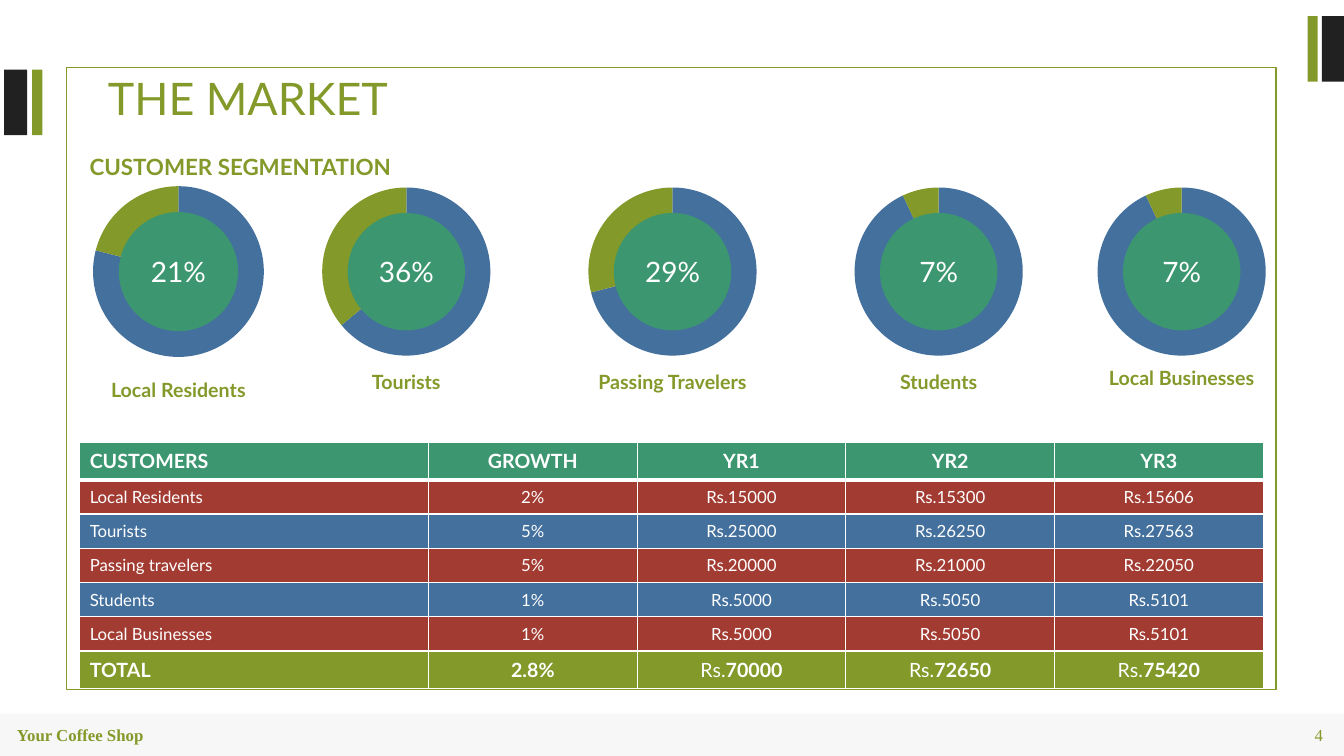
"""Builds a market slide with five customer rings and a table of growth and sales."""
from lxml.etree import SubElement
from pptx import Presentation
from pptx.chart.data import CategoryChartData
from pptx.dml.color import RGBColor
from pptx.enum.chart import XL_CHART_TYPE
from pptx.enum.shapes import MSO_SHAPE
from pptx.enum.text import MSO_ANCHOR, MSO_AUTO_SIZE, PP_ALIGN
from pptx.oxml import parse_xml
from pptx.oxml.ns import nsdecls, qn
from pptx.util import Inches, Pt

OLIVE = RGBColor(0x83, 0x99, 0x2A)
BLUE = RGBColor(0x44, 0x70, 0x9D)
GREEN = RGBColor(0x3C, 0x97, 0x70)
RED = RGBColor(0xA2, 0x3C, 0x33)
BLACK = RGBColor(0x21, 0x21, 0x21)
GREY = RGBColor(0xE6, 0xE6, 0xE6)
WHITE = RGBColor(0xFF, 0xFF, 0xFF)
LATO, SERIF = "Lato", "Times New Roman"

WIDTH, HEIGHT = 13.33, 7.5
TITLE = "THE MARKET"
SUBTITLE = "CUSTOMER SEGMENTATION"
FOOTER, PAGE = "Your Coffee Shop", "4"
BARS = [
    (0.04, 0.69, 0.23, BLACK),
    (0.32, 0.69, 0.1, OLIVE),
    (12.97, 0.16, 0.1, OLIVE),
    (13.11, 0.16, 0.22, BLACK),
]
# name, percent, centre, chart width, label top, label width
SEGMENTS = [
    ("Local Residents", 21, 1.77, 1.97, 3.7, 1.56),
    ("Tourists", 36, 4.03, 1.94, 3.62, 0.91),
    ("Passing Travelers", 29, 6.67, 1.94, 3.62, 1.72),
    ("Students", 7, 9.31, 1.94, 3.62, 0.98),
    ("Local Businesses", 7, 11.72, 1.94, 3.58, 1.66),
]
CHART_TOP, CHART_HEIGHT = 1.51, 2.37
RING_SHARE, HOLE_SHARE = 0.86, 0.6
ROWS = [
    ("CUSTOMERS", "GROWTH", "YR1", "YR2", "YR3"),
    ("Local Residents", "2%", "Rs.15000", "Rs.15300", "Rs.15606"),
    ("Tourists", "5%", "Rs.25000", "Rs.26250", "Rs.27563"),
    ("Passing travelers", "5%", "Rs.20000", "Rs.21000", "Rs.22050"),
    ("Students", "1%", "Rs.5000", "Rs.5050", "Rs.5101"),
    ("Local Businesses", "1%", "Rs.5000", "Rs.5050", "Rs.5101"),
    ("TOTAL", "2.8%", "Rs.70000", "Rs.72650", "Rs.75420"),
]
COLUMN_WIDTHS = [3.46] + [2.07] * 4
ROW_HEIGHTS = [0.37] + [0.34] * 5 + [0.37]
ROW_FILLS = [GREEN, RED, BLUE, RED, BLUE, RED, OLIVE]


def inches(*lengths):
    return [Inches(length) for length in lengths]


def style(p, size, color, name=LATO, bold=False, align=PP_ALIGN.LEFT):
    p.alignment = align
    p.font.size, p.font.name, p.font.bold = Pt(size), name, bold
    p.font.color.rgb = color


def add_box(slide, kind, box, fill=None):
    sp = slide.shapes.add_shape(kind, *inches(*box))
    sp.shadow.inherit = False
    sp.line.fill.background()
    if fill is None:
        sp.fill.background()
    else:
        sp.fill.solid()
        sp.fill.fore_color.rgb = fill
    return sp


def add_text(slide, text, box, size, wrap=True, anchor=MSO_ANCHOR.TOP, **font):
    tf = slide.shapes.add_textbox(*inches(*box)).text_frame
    tf.word_wrap, tf.vertical_anchor = wrap, anchor
    tf.text = text
    style(tf.paragraphs[0], size, OLIVE, **font)


def add_frame(slide):
    frame = add_box(slide, MSO_SHAPE.RECTANGLE, (0.66, 0.67, 12, 6.17))
    frame.line.color.rgb, frame.line.width = OLIVE, Pt(1.25)
    for left, top, width, color in BARS:
        add_box(slide, MSO_SHAPE.RECTANGLE, (left, top, width, 0.65), color)
    band = add_box(slide, MSO_SHAPE.RECTANGLE, (0, 7.08, WIDTH, HEIGHT - 7.08), GREY)
    color = next(band.fill._xPr.iter(qn("a:srgbClr")))
    SubElement(color, qn("a:alpha"), val="30000")
    add_text(slide, PAGE, (12.35, 7.14, 0.87, 0.3), 12, name=SERIF,
             anchor=MSO_ANCHOR.MIDDLE, align=PP_ALIGN.RIGHT)
    add_text(slide, FOOTER, (0.07, 7.14, 1.84, 0.3), 12, name=SERIF, bold=True)


def add_title(slide):
    title = slide.shapes.title
    title.left, title.top, title.width, title.height = inches(0.97, 0.75, 6.67, 0.54)
    tf = title.text_frame
    tf.text = TITLE
    tf.auto_size, tf.vertical_anchor = MSO_AUTO_SIZE.NONE, MSO_ANCHOR.TOP
    style(tf.paragraphs[0], 32, OLIVE)
    tf.paragraphs[0].line_spacing = 0.8


def add_segment(slide, name, percent, centre, width, label_top, label_width):
    data = CategoryChartData()
    data.categories = ["1", "2"]
    data.add_series("Series 1", (100 - percent, percent))
    box = (centre - width / 2, CHART_TOP, width, CHART_HEIGHT)
    chart = slide.shapes.add_chart(XL_CHART_TYPE.PIE, *inches(*box), data).chart
    chart.has_legend = chart.has_title = False
    chart.font.size, chart.font.name = Pt(10), SERIF
    chart.font.color.rgb = BLACK
    plot = chart.plots[0]
    plot.vary_by_categories = False
    for i, color in enumerate((BLUE, OLIVE)):
        fill = plot.series[0].points[i].format.fill
        fill.solid()
        fill.fore_color.rgb = color

    ring = width * RING_SHARE
    w, h = RING_SHARE, ring / CHART_HEIGHT
    area = chart._chartSpace.chart.plotArea
    for old in area.findall(qn("c:layout")):
        area.remove(old)
    values = {"x": (1 - w) / 2, "y": (1 - h) / 2, "w": w, "h": h}
    sizes = "".join(f'<c:{key} val="{value:.4f}"/>' for key, value in values.items())
    area.insert(0, parse_xml(
        f'<c:layout {nsdecls("c")}><c:manualLayout><c:layoutTarget val="inner"/>'
        f'<c:xMode val="edge"/><c:yMode val="edge"/>{sizes}</c:manualLayout></c:layout>'))

    hole = width * HOLE_SHARE
    middle = CHART_TOP + CHART_HEIGHT / 2
    sp = add_box(slide, MSO_SHAPE.OVAL,
                 (centre - hole / 2, middle - hole / 2, hole, hole), GREEN)
    tf = sp.text_frame
    tf.margin_left = tf.margin_right = 0
    tf.vertical_anchor = MSO_ANCHOR.MIDDLE
    tf.text = f"{percent}%"
    style(tf.paragraphs[0], 20, WHITE, align=PP_ALIGN.CENTER)
    add_text(slide, name, (centre - label_width / 2, label_top, label_width, 0.34), 14,
             wrap=False, bold=True, align=PP_ALIGN.CENTER)


def add_borders(cell, bottom, top):
    tcPr = cell._tc.get_or_add_tcPr()
    for side, width in (("L", 1), ("R", 1), ("T", top), ("B", bottom)):
        tcPr.append(parse_xml(
            f'<a:ln{side} {nsdecls("a")} w="{Pt(width)}"><a:solidFill>'
            f'<a:srgbClr val="{WHITE}"/></a:solidFill></a:ln{side}>'))


def add_market_table(slide):
    box = (0.79, 4.39, sum(COLUMN_WIDTHS), sum(ROW_HEIGHTS))
    table = slide.shapes.add_table(len(ROWS), len(COLUMN_WIDTHS), *inches(*box)).table
    table.horz_banding = False
    for column, width in zip(table.columns, COLUMN_WIDTHS):
        column.width = Inches(width)
    last = len(ROWS) - 1
    for r, row in enumerate(ROWS):
        table.rows[r].height = Inches(ROW_HEIGHTS[r])
        strong = r in (0, last)
        for c, text in enumerate(row):
            cell = table.cell(r, c)
            add_borders(cell, bottom=3 if r == 0 else 1, top=3 if r == 1 else 1)
            cell.fill.solid()
            cell.fill.fore_color.rgb = ROW_FILLS[r]
            cell.vertical_anchor = MSO_ANCHOR.MIDDLE
            p = cell.text_frame.paragraphs[0]
            style(p, 14 if strong else 12, WHITE, bold=strong,
                  align=PP_ALIGN.CENTER if c else PP_ALIGN.LEFT)
            if r == last and text.startswith("Rs."):
                run = p.add_run()
                run.text, run.font.bold = "Rs.", False
                text = text.removeprefix("Rs.")
            p.add_run().text = text


def main():
    prs = Presentation()
    prs.slide_width, prs.slide_height = inches(WIDTH, HEIGHT)
    slide = prs.slides.add_slide(prs.slide_layouts[5])
    add_frame(slide)
    add_title(slide)
    for segment in SEGMENTS:
        add_segment(slide, *segment)
    add_market_table(slide)
    add_text(slide, SUBTITLE, (0.79, 1.47, 3.9, 0.37), 16, bold=True)
    prs.save("out.pptx")


if __name__ == "__main__":
    main()
